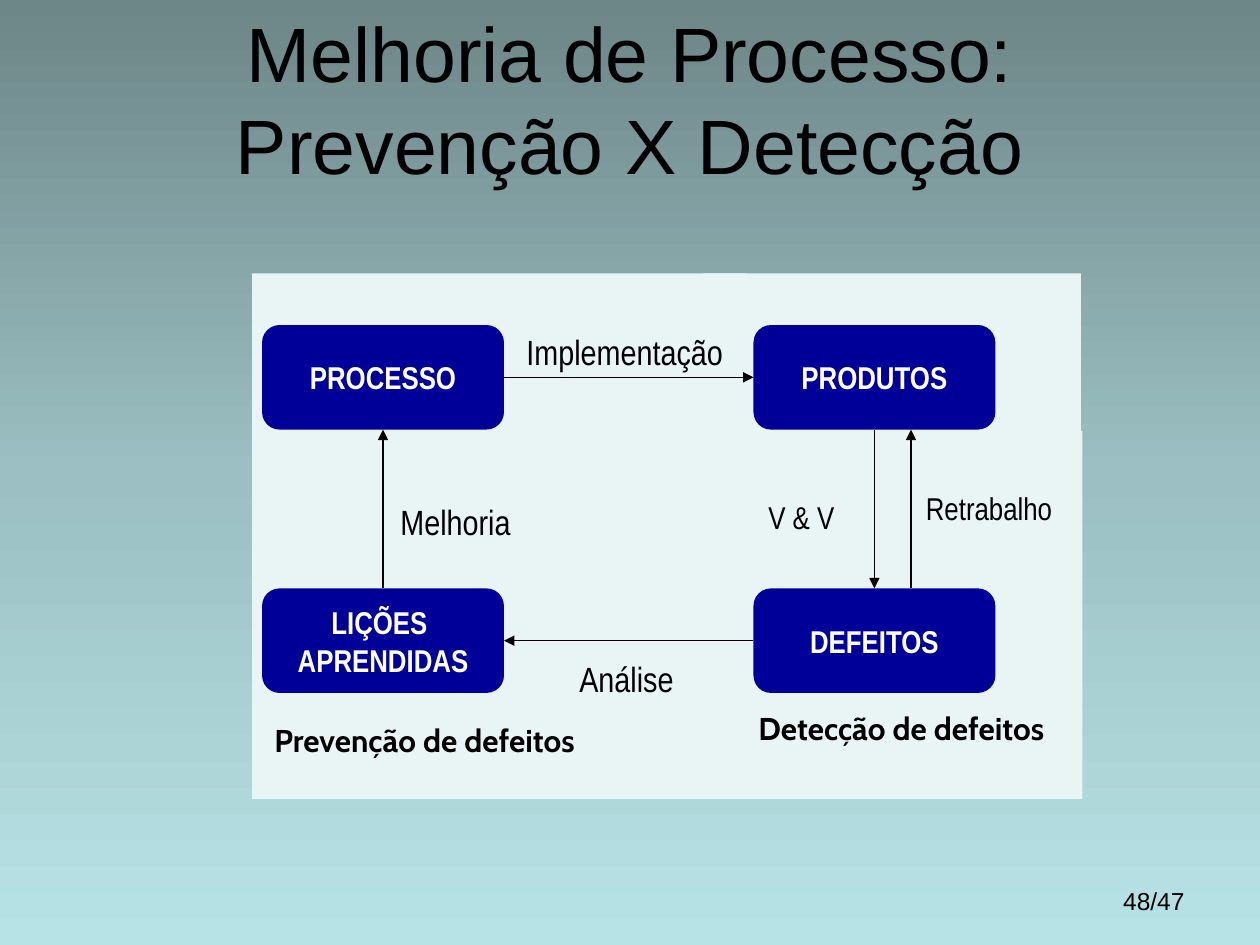
from copy import deepcopy

from pptx import Presentation
from pptx.dml.color import RGBColor
from pptx.enum.shapes import MSO_CONNECTOR as Connector, MSO_SHAPE as Shape
from pptx.enum.text import MSO_ANCHOR as Anchor, PP_ALIGN as Align
from pptx.oxml.ns import qn
from pptx.util import Inches, Pt

BLACK = RGBColor(0x00, 0x00, 0x00)
WHITE = RGBColor(0xFF, 0xFF, 0xFF)
NAVY = RGBColor(0x00, 0x00, 0x99)
PANEL = RGBColor(0xE9, 0xF4, 0xF5)
GRADIENT = [
    (0, RGBColor(0x6D, 0x86, 0x88)),
    (0.5, RGBColor(0x9B, 0xBF, 0xC2)),
    (1, RGBColor(0xB8, 0xE3, 0xE6)),
]
TOP, LEFT, BOTTOM, RIGHT = range(4)
NODE_WIDTH, NODE_HEIGHT = 1.92, 0.83
LEFT_COLUMN, RIGHT_COLUMN = 2.08, 5.98
TOP_ROW, BOTTOM_ROW = 2.58, 4.67


def set_background(slide):
    """Fill the background with a vertical three-stop gradient."""
    fill = slide.background.fill
    fill.gradient()
    fill.gradient_angle = 270
    stop_list = slide.element.find(".//" + qn("a:gsLst"))
    stop_list.append(deepcopy(stop_list[0]))
    for stop, (position, color) in zip(fill.gradient_stops, GRADIENT):
        stop.position = position
        stop.color.rgb = color


def write_lines(frame, lines, size, font, color=BLACK, bold=False, align=Align.LEFT):
    """Write each line as a paragraph of one run."""
    for index, line in enumerate(lines):
        paragraph = frame.add_paragraph() if index else frame.paragraphs[0]
        paragraph.alignment = align
        run = paragraph.add_run()
        run.text = line
        run.font.size = Pt(size)
        run.font.name = font
        run.font.bold = bold
        run.font.color.rgb = color


def add_text(slide, box, text, size, font, **style):
    """Add a wrapping text box and return its frame."""
    frame = slide.shapes.add_textbox(*map(Inches, box)).text_frame
    frame.word_wrap = True
    write_lines(frame, [text], size, font, **style)
    return frame


def add_title(slide, first_line, second_line):
    """Add the centred title on two lines."""
    frame = add_text(slide, (0, 0.3, 10, 0.95), first_line, 44, "Arial", align=Align.CENTER)
    frame.vertical_anchor = Anchor.MIDDLE
    paragraph = frame.paragraphs[0]
    paragraph.add_line_break()
    run = paragraph.add_run()
    run.text = second_line
    run.font.size = Pt(44)
    run.font.name = "Arial"
    run.font.color.rgb = BLACK


def add_block(slide, kind, box, color):
    """Add a filled shape without outline or shadow."""
    shape = slide.shapes.add_shape(kind, *map(Inches, box))
    shape.shadow.inherit = False
    shape.fill.solid()
    shape.fill.fore_color.rgb = color
    shape.line.fill.background()
    return shape


def add_node(slide, left, top, *lines):
    """Add a rounded process box with bold white text."""
    box = (left, top, NODE_WIDTH, NODE_HEIGHT)
    shape = add_block(slide, Shape.ROUNDED_RECTANGLE, box, NAVY)
    frame = shape.text_frame
    frame.word_wrap = False
    frame.vertical_anchor = Anchor.MIDDLE
    write_lines(frame, lines, 18, "Arial Narrow", WHITE, True, Align.CENTER)
    return shape


def add_arrow(slide, start=(0, 0), end=(0, 0)):
    """Add a thin black arrow pointing at its end."""
    arrow = slide.shapes.add_connector(
        Connector.STRAIGHT, *map(Inches, (*start, *end))
    )
    arrow.line.color.rgb = BLACK
    arrow.line.width = Pt(0.75)
    tail = arrow.line._get_or_add_ln().makeelement(qn("a:tailEnd"), {"type": "triangle"})
    arrow.line._get_or_add_ln().append(tail)
    properties = arrow._element.spPr
    properties.append(properties.makeelement(qn("a:effectLst"), {}))
    return arrow


def join_nodes(slide, source, source_side, target, target_side):
    """Draw an arrow joined to the sides of two nodes."""
    arrow = add_arrow(slide)
    arrow.begin_connect(source, source_side)
    arrow.end_connect(target, target_side)


def main():
    """Build the slide and save it."""
    presentation = Presentation()
    presentation.slide_width = Inches(10)
    presentation.slide_height = Inches(7.5)
    slide = presentation.slides.add_slide(presentation.slide_layouts[6])
    set_background(slide)
    add_title(slide, "Melhoria de Processo:", "Prevenção X Detecção")

    for panel in [(5.92, 3.42, 2.67, 2.92), (5.58, 2.17, 3, 1.25), (2, 2.17, 3.92, 4.17)]:
        add_block(slide, Shape.RECTANGLE, panel, PANEL)

    process = add_node(slide, LEFT_COLUMN, TOP_ROW, "PROCESSO")
    products = add_node(slide, RIGHT_COLUMN, TOP_ROW, "PRODUTOS")
    defects = add_node(slide, RIGHT_COLUMN, BOTTOM_ROW, "DEFEITOS")
    lessons = add_node(slide, LEFT_COLUMN, BOTTOM_ROW, "LIÇÕES ", "APRENDIDAS")

    join_nodes(slide, process, RIGHT, products, LEFT)
    join_nodes(slide, lessons, TOP, process, BOTTOM)
    join_nodes(slide, defects, LEFT, lessons, RIGHT)
    join_nodes(slide, products, BOTTOM, defects, TOP)
    add_arrow(slide, (7.23, BOTTOM_ROW), (7.23, TOP_ROW + NODE_HEIGHT))

    for text, size, box in [
        ("Implementação", 20, (4.08, 2.57, 1.83, 0.43)),
        ("Análise", 20, (4.5, 5.17, 1.17, 0.43)),
        ("Melhoria", 20, (3.08, 3.92, 1.5, 0.43)),
        ("Retrabalho", 18, (7.25, 3.83, 1.33, 0.4)),
        ("V & V", 18, (6, 3.9, 0.83, 0.4)),
    ]:
        add_text(slide, box, text, size, "Arial Narrow")

    for text, left, top in [
        ("Prevenção de defeitos", 2.08, 5.67),
        ("Detecção de defeitos", 5.92, 5.58),
    ]:
        add_text(slide, (left, top, 2.75, 0.71), text, 18, "Cabin", bold=True)

    add_text(slide, (7.17, 6.98, 2.33, 0.52), "48/47", 14, "Arial", align=Align.RIGHT)
    presentation.save("out.pptx")


if __name__ == "__main__":
    main()
